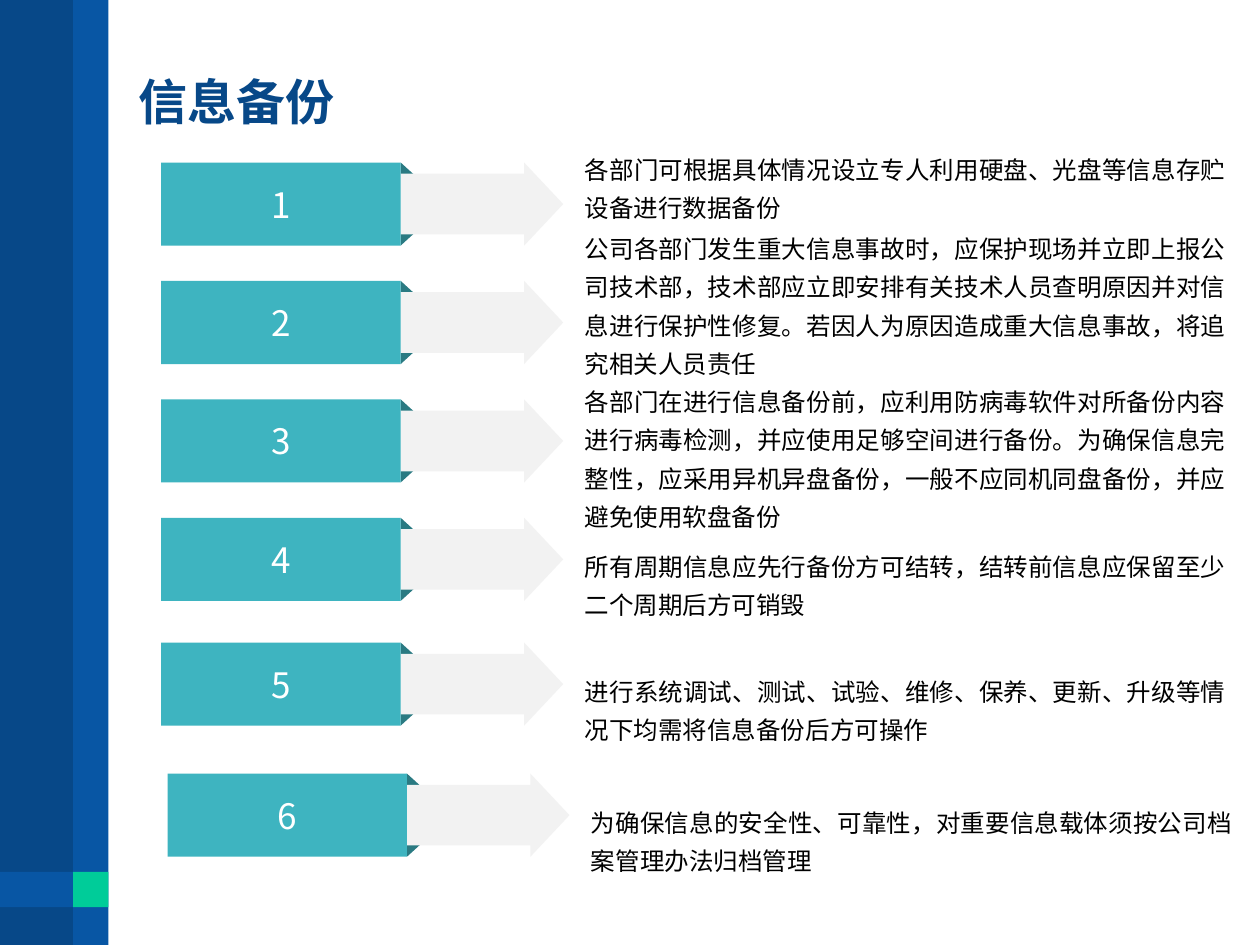
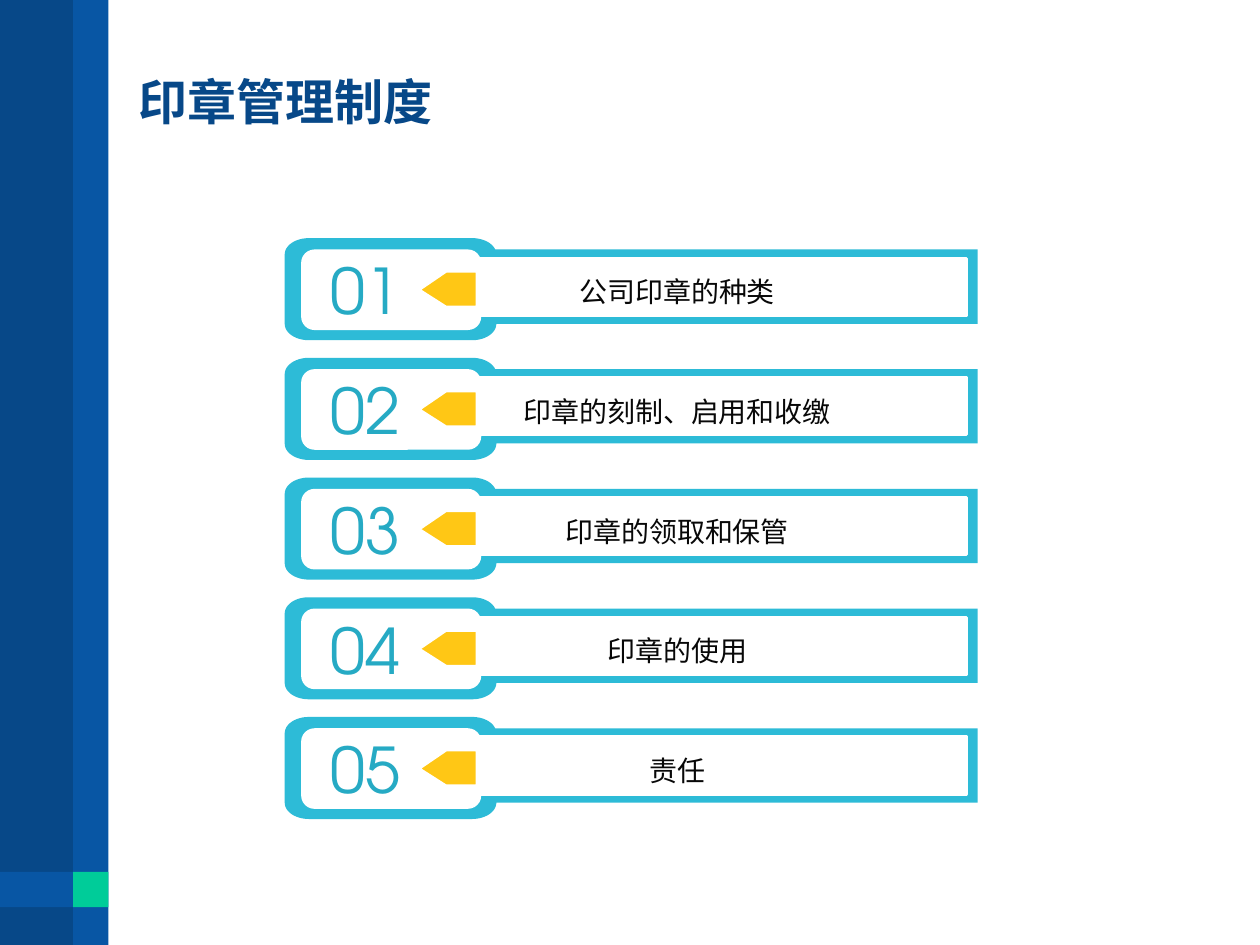
import math

import pptx
import pptx.dml.color
import pptx.enum.shapes
import pptx.enum.text
import pptx.oxml.ns
import pptx.util
from lxml import etree
from pptx.util import Inches

SHAPE = pptx.enum.shapes.MSO_SHAPE
ALIGN = pptx.enum.text.PP_ALIGN
NAVY, BLUE, GREEN = "074888", "0856A4", "00CC99"
TEAL, DARK_TEAL, PALE_GREY = "3EB4C0", "2A7A82", "F2F2F2"
CYAN, NUMBER_CYAN, YELLOW = "2DBBD7", "26AAC4", "FFC715"
WHITE, BLACK, NEAR_BLACK = "FFFFFF", "000000", "080808"
CJK_FONT = "Noto Sans CJK SC"


def paint(shape, fill, outline=None):
    """Give the shape a flat fill and, if asked, a 2 pt outline."""
    shape.shadow.inherit = False
    shape.fill.solid()
    shape.fill.fore_color.rgb = pptx.dml.color.RGBColor.from_string(fill)
    if outline:
        shape.line.color.rgb = pptx.dml.color.RGBColor.from_string(outline)
        shape.line.width = pptx.util.Pt(2)
    else:
        shape.line.fill.background()
    return shape


def write(shape, text, size, color, font=CJK_FONT, align=ALIGN.LEFT,
          spacing=None, insets=(0.1, 0.05, 0.1, 0.05), bold=False):
    frame = shape.text_frame
    frame.text = text
    frame.word_wrap = True
    frame.vertical_anchor = pptx.enum.text.MSO_ANCHOR.MIDDLE
    (frame.margin_left, frame.margin_top,
     frame.margin_right, frame.margin_bottom) = [Inches(inset) for inset in insets]
    paragraph = frame.paragraphs[0]
    paragraph.alignment = align
    paragraph.line_spacing = spacing
    run = paragraph.runs[0]
    run.font.size = pptx.util.Pt(size)
    run.font.bold = bold
    run.font.color.rgb = pptx.dml.color.RGBColor.from_string(color)
    run.font.name = font
    east_asian = etree.SubElement(run._r.get_or_add_rPr(), pptx.oxml.ns.qn("a:ea"))
    east_asian.set("typeface", CJK_FONT)


deck = pptx.Presentation()
deck.slide_width, deck.slide_height = Inches(10), Inches(7.5)
layout = deck.slide_layouts[5]
backup = deck.slides.add_slide(layout)
seals = deck.slides.add_slide(layout)

# Side bands, moved to the shared layout behind its placeholders
bands = [
    (0, 0, 0.83, 7.5, NAVY),
    (0.58, 0, 0.28, 7.5, BLUE),
    (0, 6.92, 0.83, 0.28, BLUE),
    (0.58, 6.92, 0.28, 0.28, GREEN),
]
for position, (left, top, width, height, color) in enumerate(bands):
    band = paint(backup.shapes.add_shape(
        SHAPE.RECTANGLE, Inches(left), Inches(top), Inches(width), Inches(height)), color)
    layout.shapes.element.insert(2 + position, band.element)

# Titles
for slide, heading in [(backup, "信息备份"), (seals, "印章管理制度")]:
    title = slide.shapes.title
    title.left, title.top = Inches(1), Inches(0.09)
    title.width, title.height = Inches(8.63), Inches(1.45)
    write(title, heading, 28, NAVY, font="Arial", spacing=pptx.util.Pt(32), bold=True)

# Backup rules: left and top of the row, top and height of the text, text
rules = [
    (1.28, 1.29, 1.09, 0.74,
     "各部门可根据具体情况设立专人利用硬盘、光盘等信息存贮设备进行数据备份"),
    (1.28, 2.23, 2.02, 0.75,
     "公司各部门发生重大信息事故时，应保护现场并立即上报公司技术部，技术部应立即安排"
     "有关技术人员查明原因并对信息进行保护性修复。若因人为原因造成重大信息事故，"
     "将追究相关人员责任"),
    (1.28, 3.17, 3.28, 0.66,
     "各部门在进行信息备份前，应利用防病毒软件对所备份内容进行病毒检测，并应使用足够"
     "空间进行备份。为确保信息完整性，应采用异机异盘备份，一般不应同机同盘备份，"
     "并应避免使用软盘备份"),
    (1.28, 4.11, 4.08, 1.07,
     "所有周期信息应先行备份方可结转，结转前信息应保留至少二个周期后方可销毁"),
    (1.28, 5.1, 5.07, 1.07,
     "进行系统调试、测试、试验、维修、保养、更新、升级等情况下均需将信息备份后方可操作"),
    (1.33, 6.14, 6.11, 1.07,
     "为确保信息的安全性、可靠性，对重要信息载体须按公司档案管理办法归档管理"),
]
for number, (left, top, rule_top, rule_height, rule) in enumerate(rules, start=1):
    for fold_top, flipped in [(top + 0.56, True), (top, False)]:
        fold = paint(backup.shapes.add_shape(
            SHAPE.RIGHT_TRIANGLE, Inches(left + 1.9), Inches(fold_top),
            Inches(0.11), Inches(0.1)), DARK_TEAL)
        if flipped:
            fold.element.spPr.find(pptx.oxml.ns.qn("a:xfrm")).set("flipV", "1")
    arrow = paint(backup.shapes.add_shape(
        SHAPE.RIGHT_ARROW, Inches(left + 1.05), Inches(top),
        Inches(2.14), Inches(0.66)), PALE_GREY)
    arrow.adjustments[0], arrow.adjustments[1] = 0.73, 0.47
    label = paint(backup.shapes.add_shape(
        SHAPE.RECTANGLE, Inches(left), Inches(top), Inches(1.9), Inches(0.66)), TEAL)
    write(label, str(number), 20, WHITE, align=ALIGN.CENTER)
    rule_box = backup.shapes.add_textbox(
        Inches(left + 3.36), Inches(rule_top), Inches(5.09), Inches(rule_height))
    write(rule_box, rule, 14, BLACK, align=ALIGN.JUSTIFY, spacing=1.3, insets=(0, 0, 0, 0))

# Frame outline relative to its row: rounded tab with a bar to the right.
# Each corner has a centre and a range of angles in degrees.
frame_outline = []
for centre_x, centre_y, start, end in [
    (2.45, 0.13, 90, 180),
    (2.45, 0.68, 180, 270),
    (3.75, 0.68, 270, 360),
    (3.75, 0.13, 18, 90),
]:
    if start == 18:
        frame_outline += [(7.76, 0.68), (7.76, 0.09)]
    for step in range(13):
        angle = math.radians(start + (end - start) * step / 12)
        frame_outline.append((centre_x + 0.19 * math.cos(angle),
                              centre_y - 0.13 * math.sin(angle)))
pointer_outline = [(3.79, 0.26), (3.54, 0.26), (3.32, 0.41), (3.54, 0.55), (3.79, 0.55)]

# Seal chapters
chapters = ["公司印章的种类", "印章的刻制、启用和收缴", "印章的领取和保管", "印章的使用", "责任"]
for index, chapter in enumerate(chapters):
    top = 1.89 + 0.95 * index
    outlines = []
    for outline in (frame_outline, pointer_outline):
        points = [(Inches(x), Inches(top + y)) for x, y in outline]
        builder = seals.shapes.build_freeform(*points[0])
        builder.add_line_segments(points[1:], close=True)
        outlines.append(builder)

    paint(outlines[0].convert_to_shape(), CYAN)
    number_box = paint(seals.shapes.add_shape(
        SHAPE.ROUNDED_RECTANGLE, Inches(2.39), Inches(top + 0.09),
        Inches(1.43), Inches(0.64)), WHITE)
    write(number_box, f"{index + 1:02d}", 36, NUMBER_CYAN,
          font="TeX Gyre Adventor", insets=(0.2, 0, 0, 0))
    chapter_box = paint(seals.shapes.add_shape(
        SHAPE.RECTANGLE, Inches(3.79), Inches(top + 0.16),
        Inches(3.88), Inches(0.45)), WHITE, WHITE)
    write(chapter_box, chapter, 16, NEAR_BLACK, align=ALIGN.CENTER,
          spacing=1.3, insets=(0, 0, 0.71, 0))
    paint(outlines[1].convert_to_shape(), YELLOW, WHITE)

deck.save("out.pptx")
